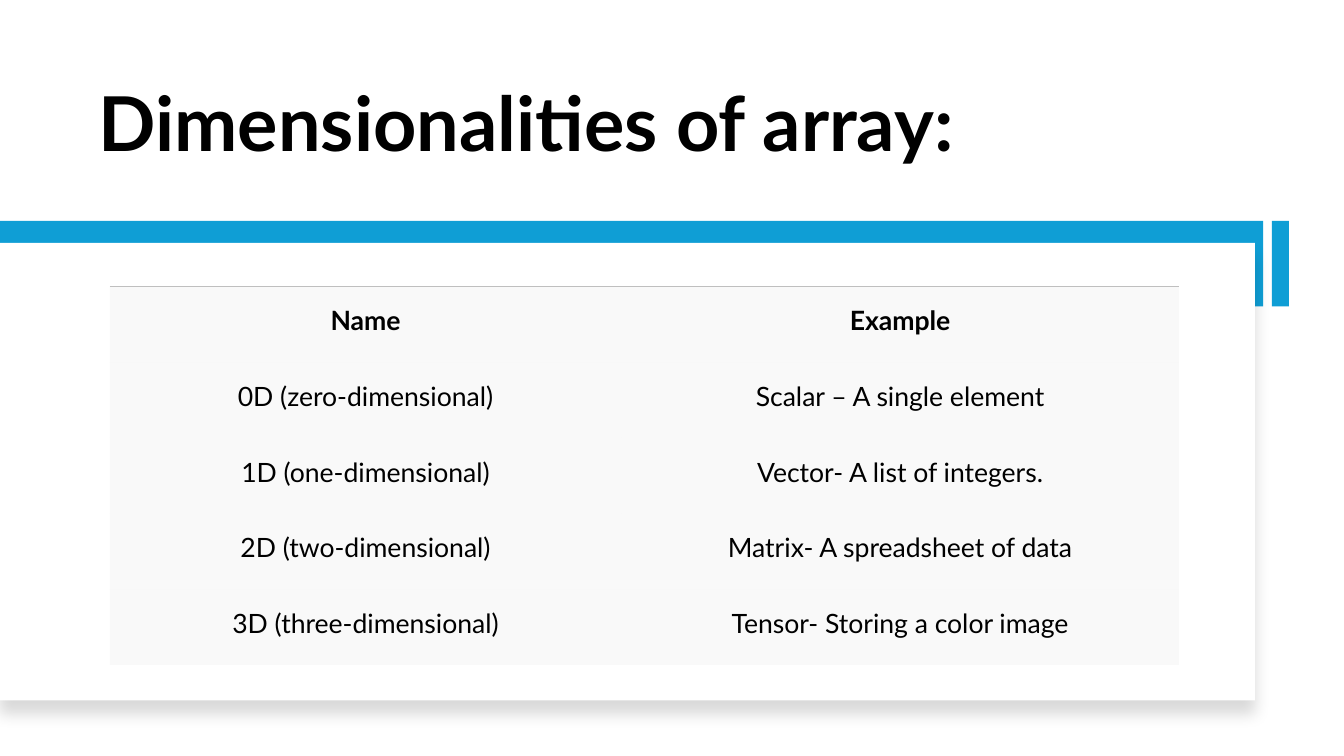
from lxml import etree
from pptx import Presentation
from pptx.dml.color import RGBColor
from pptx.enum.shapes import MSO_SHAPE
from pptx.enum.text import MSO_ANCHOR, PP_ALIGN
from pptx.oxml.ns import qn
from pptx.util import Pt

RECT = MSO_SHAPE.RECTANGLE
MIDDLE, BOTTOM = MSO_ANCHOR.MIDDLE, MSO_ANCHOR.BOTTOM
CENTER = PP_ALIGN.CENTER
FONT = "Lato"
HUES = {"ink": "000000", "blue": "0F9ED5", "card": "FFFFFF",
        "cell": "F2F2F2", "rule": "BFBFBF"}


def add_run(para, text, size, bold):
    run = para.add_run()
    run.text = text
    run.font.name = FONT
    run.font.size = Pt(size)
    run.font.bold = bold
    run.font.color.rgb = RGBColor.from_string(HUES["ink"])


def add_tag(node, tag, **attrs):
    """Append a DrawingML element with the given attributes."""
    return etree.SubElement(node, qn("a:" + tag),
                            {key: str(val) for key, val in attrs.items()})


deck = Presentation()
deck.slide_width, deck.slide_height = Pt(960), Pt(540)
slide = deck.slides.add_slide(deck.slide_layouts[6])
shapes = slide.shapes

# Title
title = shapes.add_textbox(Pt(63.4), Pt(30.2), Pt(727.2), Pt(93.6))
frame = title.text_frame
frame.word_wrap = True
frame.vertical_anchor = BOTTOM
para = frame.paragraphs[0]
para.line_spacing = 0.9
add_run(para, "Dimensionalities of array:", 54, True)

# Blue stripe and bar, then the white card over the bar
for left, top, width, height, hue in [
    (908.6, 157.7, 12.2, 61.2, "blue"),
    (0, 157.7, 902.2, 61.2, "blue"),
    (0, 173.5, 896.4, 326.9, "card"),
]:
    box = shapes.add_shape(RECT, Pt(left), Pt(top), Pt(width), Pt(height))
    box.shadow.inherit = False
    box.fill.solid()
    box.fill.fore_color.rgb = RGBColor.from_string(HUES[hue])
    box.line.fill.background()

# Soft shadow below the card, the last box drawn
effects = box._element.spPr.find(qn("a:effectLst"))
shade = add_tag(effects, "outerShdw", blurRad=Pt(11), dist=Pt(10),
                dir=5400000, algn="t", rotWithShape=0)
add_tag(add_tag(shade, "srgbClr", val=HUES["ink"]), "alpha", val=15000)

# Table
rows = [
    ("Name", "Example"),
    ("0D (zero-dimensional)", "Scalar – A single element"),
    ("1D (one-dimensional)", "Vector- A list of integers."),
    ("2D (two-dimensional)", "Matrix- A spreadsheet of data"),
    ("3D (three-dimensional)", "Tensor- Storing a color image"),
]
widths = (365.3, 398.4)
tall = 54.1
table = shapes.add_table(len(rows), len(widths), Pt(78.5), Pt(204.5),
                         Pt(sum(widths)), Pt(tall * len(rows))).table
table.first_row = table.horz_banding = False
for col, width in zip(table.columns, widths):
    col.width = Pt(width)

for i, row in enumerate(rows):
    table.rows[i].height = Pt(tall)
    for j, text in enumerate(row):
        cell = table.cell(i, j)
        cell.vertical_anchor = MIDDLE
        cell.margin_left = cell.margin_right = Pt(12.2)
        cell.margin_top, cell.margin_bottom = Pt(11.5), Pt(16.6)
        para = cell.text_frame.paragraphs[0]
        para.alignment = CENTER
        add_run(para, text, 19, i == 0)

        props = cell._tc.get_or_add_tcPr()
        for side in ("lnL", "lnR", "lnT", "lnB"):
            edge = add_tag(props, side, w=Pt(1))
            if i == 0 and side == "lnT":
                add_tag(add_tag(edge, "solidFill"), "srgbClr", val=HUES["rule"])
            else:
                add_tag(edge, "noFill")
        fill = add_tag(props, "solidFill")
        tint = add_tag(fill, "srgbClr", val=HUES["cell"])
        add_tag(tint, "alpha", val=45000)

deck.save("out.pptx")
